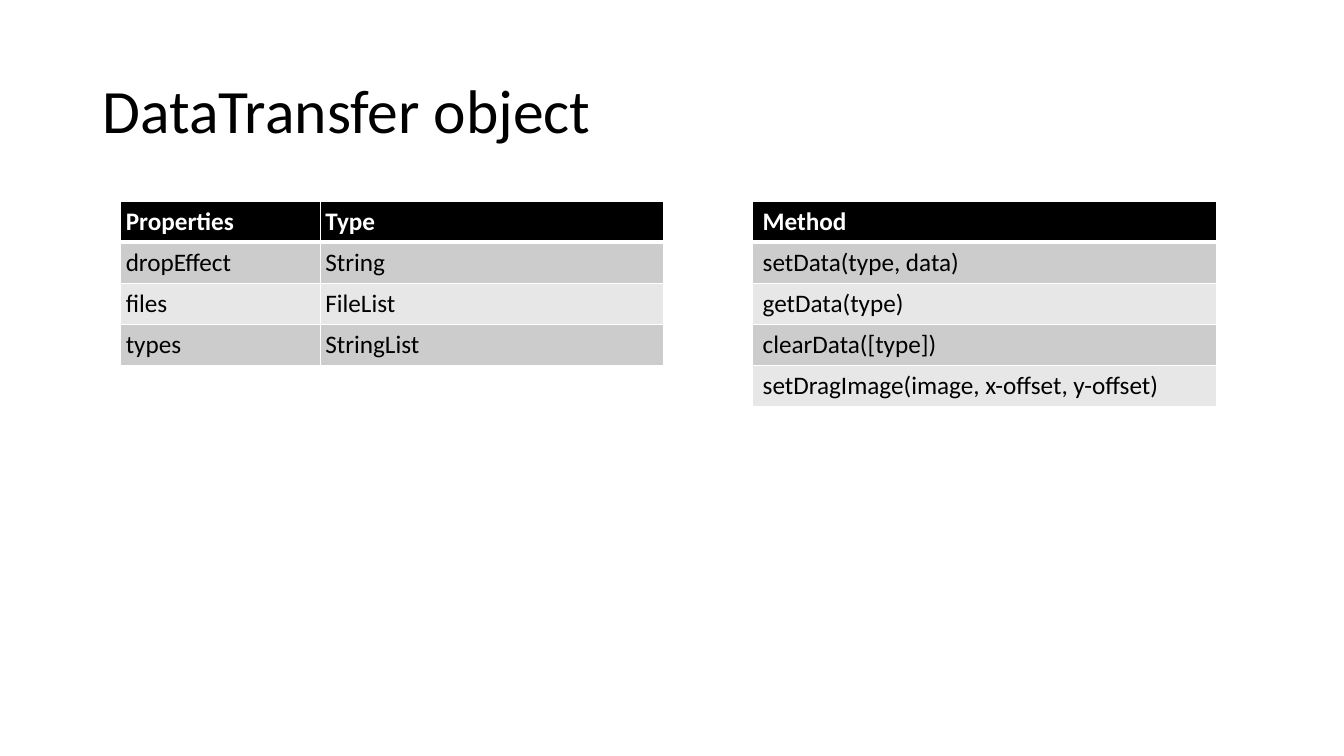
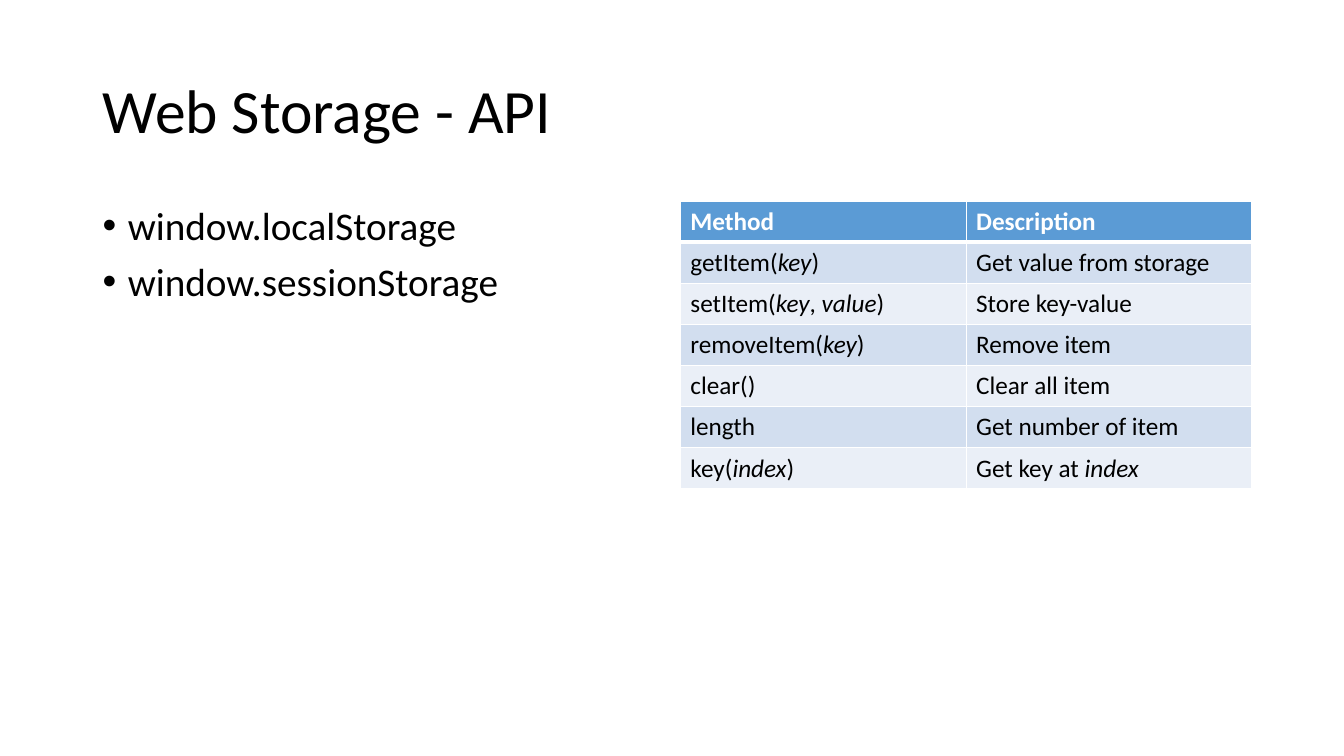
from dataclasses import dataclass

from lxml import etree
from pptx import Presentation
from pptx.dml import color
from pptx.enum import text
from pptx.oxml import ns
from pptx.util import Cm, Pt

FONT = "Calibri"
BLACK = "000000"
WHITE = "FFFFFF"
MARGIN_LEFT = 2.33
CONTENT_TOP = 5.07
ROW_HEIGHT = 1.03
LAYOUT_TITLE_BODY = 1
LAYOUT_TITLE_ONLY = 5


@dataclass(frozen=True)
class Palette:
    header: str
    bands: tuple[str, str]


@dataclass(frozen=True)
class TableSpec:
    left: float
    column_widths: tuple[float, ...]
    palette: Palette
    rows: tuple[tuple[str, ...], ...]
    side_margin: float = 0.25


@dataclass(frozen=True)
class SlideSpec:
    title: str
    tables: tuple[TableSpec, ...]
    bullets: tuple[str, ...] = ()


GRAY = Palette(BLACK, ("CCCCCC", "E7E7E7"))
BLUE = Palette("5B9BD5", ("D2DEEF", "EAEFF7"))

SLIDES = (
    SlideSpec(
        "DataTransfer object",
        (
            TableSpec(3.04, (5.03, 8.66), GRAY, (
                ("Properties", "Type"),
                ("dropEffect", "String"),
                ("files", "FileList"),
                ("types", "StringList"),
            ), side_margin=0.13),
            TableSpec(18.97, (11.68,), GRAY, (
                ("Method",),
                ("setData(type, data)",),
                ("getData(type)",),
                ("clearData([type])",),
                ("setDragImage(image, x-offset, y-offset)",),
            )),
        ),
    ),
    SlideSpec(
        "Web Storage - API",
        (
            TableSpec(17.15, (7.2, 7.2), BLUE, (
                ("Method", "Description"),
                ("getItem(*key*)", "Get value from storage"),
                ("setItem(*key*,* value*)", "Store key-value"),
                ("removeItem(*key*)", "Remove item"),
                ("clear()", "Clear all item"),
                ("length", "Get number of item"),
                ("key(*index*)", "Get key at *index*"),
            )),
        ),
        ("window.localStorage", "window.sessionStorage"),
    ),
)


def rgb(value: str) -> color.RGBColor:
    return color.RGBColor.from_string(value)


def add_run(paragraph, content: str, size: float, fill: str = BLACK,
            bold: bool = False, italic: bool = False) -> None:
    run = paragraph.add_run()
    run.text = content
    font = run.font
    font.name, font.size, font.bold, font.italic = FONT, Pt(size), bold, italic
    font.color.rgb = rgb(fill)


def place(shape, left: float, top: float, width: float, height: float) -> None:
    shape.left, shape.top = Cm(left), Cm(top)
    shape.width, shape.height = Cm(width), Cm(height)


def set_title(slide, title: str) -> None:
    shape = slide.shapes.title
    place(shape, MARGIN_LEFT, 1.01, 29.21, 3.68)
    frame = shape.text_frame
    frame.auto_size = text.MSO_AUTO_SIZE.NONE
    frame.vertical_anchor = text.MSO_ANCHOR.MIDDLE
    paragraph = frame.paragraphs[0]
    paragraph.alignment = text.PP_ALIGN.LEFT
    paragraph.line_spacing = 0.9
    add_run(paragraph, title, 44)


def set_bullets(slide, bullets: tuple[str, ...]) -> None:
    shape = slide.placeholders[1]
    place(shape, MARGIN_LEFT, CONTENT_TOP, 14.4, 12.09)
    frame = shape.text_frame
    frame.auto_size = text.MSO_AUTO_SIZE.NONE
    for index, bullet in enumerate(bullets):
        paragraph = frame.add_paragraph() if index else frame.paragraphs[0]
        paragraph.line_spacing = 0.9
        paragraph.space_before = Pt(10)
        properties = paragraph._p.get_or_add_pPr()
        properties.set("marL", str(Cm(0.64)))
        properties.set("indent", str(-Cm(0.64)))
        etree.SubElement(properties, ns.qn("a:buFont")).set("typeface", "Arial")
        etree.SubElement(properties, ns.qn("a:buChar")).set("char", "•")
        add_run(paragraph, bullet, 28)


def set_borders(cell, row_index: int) -> None:
    properties = cell._tc.get_or_add_tcPr()
    widths = {"L": 1, "R": 1, "T": 3 if row_index == 1 else 1,
              "B": 3 if row_index == 0 else 1}
    for side, width in widths.items():
        line = etree.SubElement(properties, ns.qn(f"a:ln{side}"), w=str(Pt(width)))
        fill = etree.SubElement(line, ns.qn("a:solidFill"))
        etree.SubElement(fill, ns.qn("a:srgbClr"), val=WHITE)


def fill_cell(cell, content: str, row_index: int, spec: TableSpec) -> None:
    is_header = row_index == 0
    set_borders(cell, row_index)
    cell.fill.solid()
    cell.fill.fore_color.rgb = rgb(
        spec.palette.header if is_header else spec.palette.bands[(row_index - 1) % 2])
    cell.margin_left = cell.margin_right = Cm(spec.side_margin)
    cell.margin_top = cell.margin_bottom = Cm(0.13)
    paragraph = cell.text_frame.paragraphs[0]
    for index, part in enumerate(content.split("*")):
        if part:
            add_run(paragraph, part, 18, WHITE if is_header else BLACK,
                    bold=is_header, italic=index % 2 == 1)


def add_table(slide, spec: TableSpec) -> None:
    table = slide.shapes.add_table(
        len(spec.rows), len(spec.column_widths), Cm(spec.left), Cm(CONTENT_TOP),
        Cm(sum(spec.column_widths)), Cm(ROW_HEIGHT * len(spec.rows))).table
    table.horz_banding = False
    for column, width in zip(table.columns, spec.column_widths):
        column.width = Cm(width)
    for row_index, contents in enumerate(spec.rows):
        table.rows[row_index].height = Cm(ROW_HEIGHT)
        for column_index, content in enumerate(contents):
            fill_cell(table.cell(row_index, column_index), content, row_index, spec)


def add_slide(presentation, spec: SlideSpec) -> None:
    layout = LAYOUT_TITLE_BODY if spec.bullets else LAYOUT_TITLE_ONLY
    slide = presentation.slides.add_slide(presentation.slide_layouts[layout])
    set_title(slide, spec.title)
    if spec.bullets:
        set_bullets(slide, spec.bullets)
    for table in spec.tables:
        add_table(slide, table)


def main() -> None:
    presentation = Presentation()
    presentation.slide_width, presentation.slide_height = Cm(33.87), Cm(19.05)
    for spec in SLIDES:
        add_slide(presentation, spec)
    presentation.save("out.pptx")


if __name__ == "__main__":
    main()
